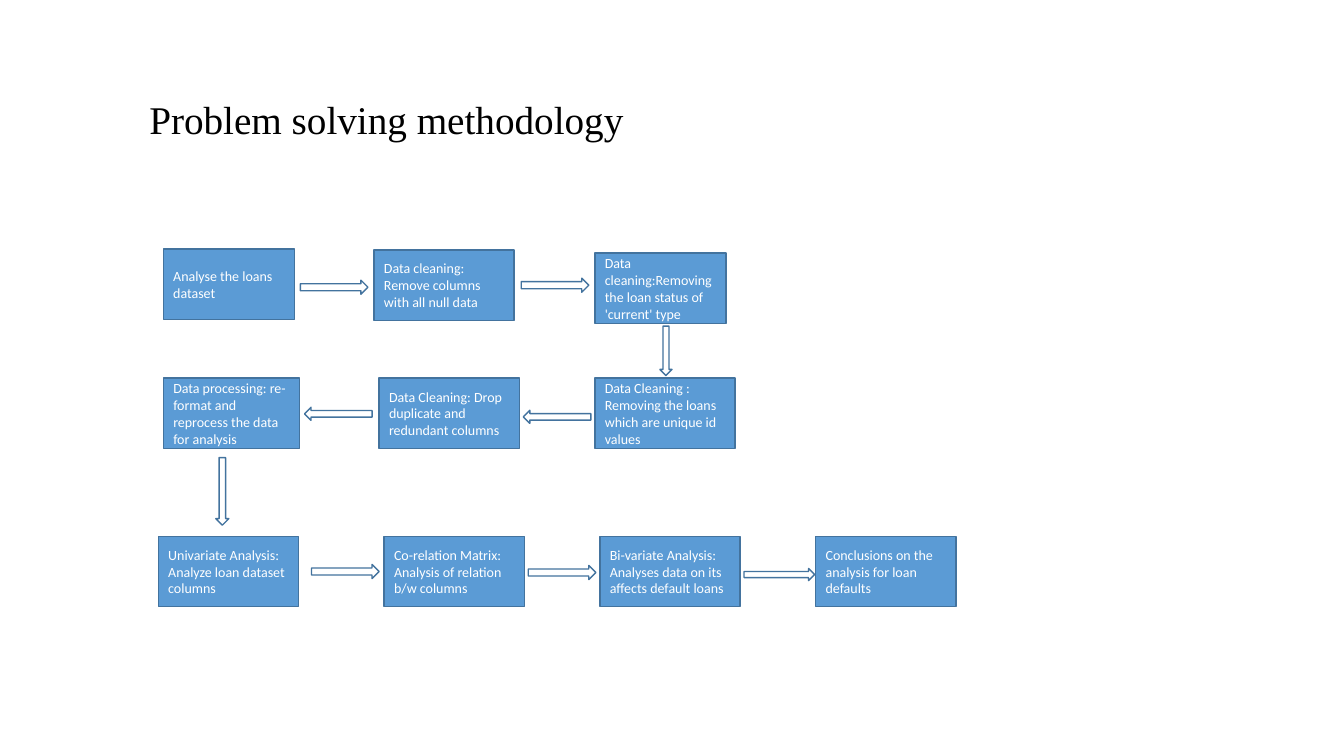
from pptx import Presentation
from pptx.dml.color import RGBColor
from pptx.enum.shapes import MSO_SHAPE
from pptx.enum.text import MSO_ANCHOR, PP_ALIGN
from pptx.util import Emu, Pt

EMU_PER_PX = 9144
BLACK = RGBColor(0x00, 0x00, 0x00)
WHITE = RGBColor(0xFF, 0xFF, 0xFF)
BLUE = RGBColor(0x5B, 0x9B, 0xD5)
DARK_BLUE = RGBColor(0x43, 0x73, 0x9E)

STEP_HEIGHT = 70
STEPS = [
    (162, 247, 130, "Analyse the loans dataset"),
    (371, 248, 139, "Data cleaning: Remove columns with all null data"),
    (590, 251, 130, "Data cleaning:Removing the loan status of 'current' type"),
    (590, 375, 139, "Data Cleaning : Removing the loans which are unique id values"),
    (376, 375, 139, "Data Cleaning: Drop duplicate and redundant columns"),
    (162, 375, 135, "Data processing: re-format and reprocess the data for analysis"),
    (157, 532, 139, "Univariate Analysis: Analyze loan dataset columns"),
    (381, 532, 139, "Co-relation Matrix: Analysis of relation b/w columns"),
    (595, 532, 139, "Bi-variate Analysis:\nAnalyses data on its affects default loans"),
    (809, 532, 139, "Conclusions on the analysis for loan defaults"),
]
RIGHT, DOWN, LEFT = 0, 90, 180
ARROWS = [
    (517, 276, 67, 14, RIGHT),
    (298, 278, 67, 14, RIGHT),
    (636, 342, 49, 12, DOWN),
    (519, 407, 67, 13, LEFT),
    (302, 404, 67, 13, LEFT),
    (187, 481, 67, 13, DOWN),
    (309, 560, 67, 14, RIGHT),
    (524, 561, 67, 14, RIGHT),
    (738, 564, 70, 12, RIGHT),
]


def px(length):
    return Emu(length * EMU_PER_PX)


def write_text(frame, text, font="Calibri", size=10, color=WHITE, line_spacing=1.0):
    frame.word_wrap = True
    frame.vertical_anchor = MSO_ANCHOR.MIDDLE
    for index, line in enumerate(text.split("\n")):
        para = frame.add_paragraph() if index else frame.paragraphs[0]
        para.alignment = PP_ALIGN.LEFT
        para.line_spacing = line_spacing
        span = para.add_run()
        span.text = line
        span.font.name = font
        span.font.size = Pt(size)
        span.font.color.rgb = color


class FlowPage:
    """Draws the elements of a flow chart on one page in a shared style."""

    def __init__(self, page):
        self.page = page
        self.outline = DARK_BLUE

    def title(self, text, left, top, width, height, indent):
        box = self.page.shapes.title
        box.left, box.top, box.width, box.height = map(px, (left, top, width, height))
        box.text_frame.margin_left = px(indent)
        write_text(box.text_frame, text, font="Times New Roman", size=28,
                   color=BLACK, line_spacing=0.9)

    def shape(self, kind, left, top, width, height, fill):
        box = self.page.shapes.add_shape(kind, *map(px, (left, top, width, height)))
        box.shadow.inherit = False
        box.fill.solid()
        box.fill.fore_color.rgb = fill
        box.line.color.rgb = self.outline
        box.line.width = Pt(1)
        return box

    def step(self, left, top, width, text):
        box = self.shape(MSO_SHAPE.RECTANGLE, left, top, width, STEP_HEIGHT, BLUE)
        write_text(box.text_frame, text)

    def arrow(self, left, top, width, height, direction):
        box = self.shape(MSO_SHAPE.RIGHT_ARROW, left, top, width, height, WHITE)
        box.rotation = direction


def main():
    deck = Presentation()
    deck.slide_width, deck.slide_height = px(1333), px(750)
    flow = FlowPage(deck.slides.add_slide(deck.slide_layouts[5]))
    flow.title("Problem solving methodology", 124, 74, 1019, 94, indent=24)
    for step in STEPS:
        flow.step(*step)
    for arrow in ARROWS:
        flow.arrow(*arrow)
    deck.save("out.pptx")


if __name__ == "__main__":
    main()
